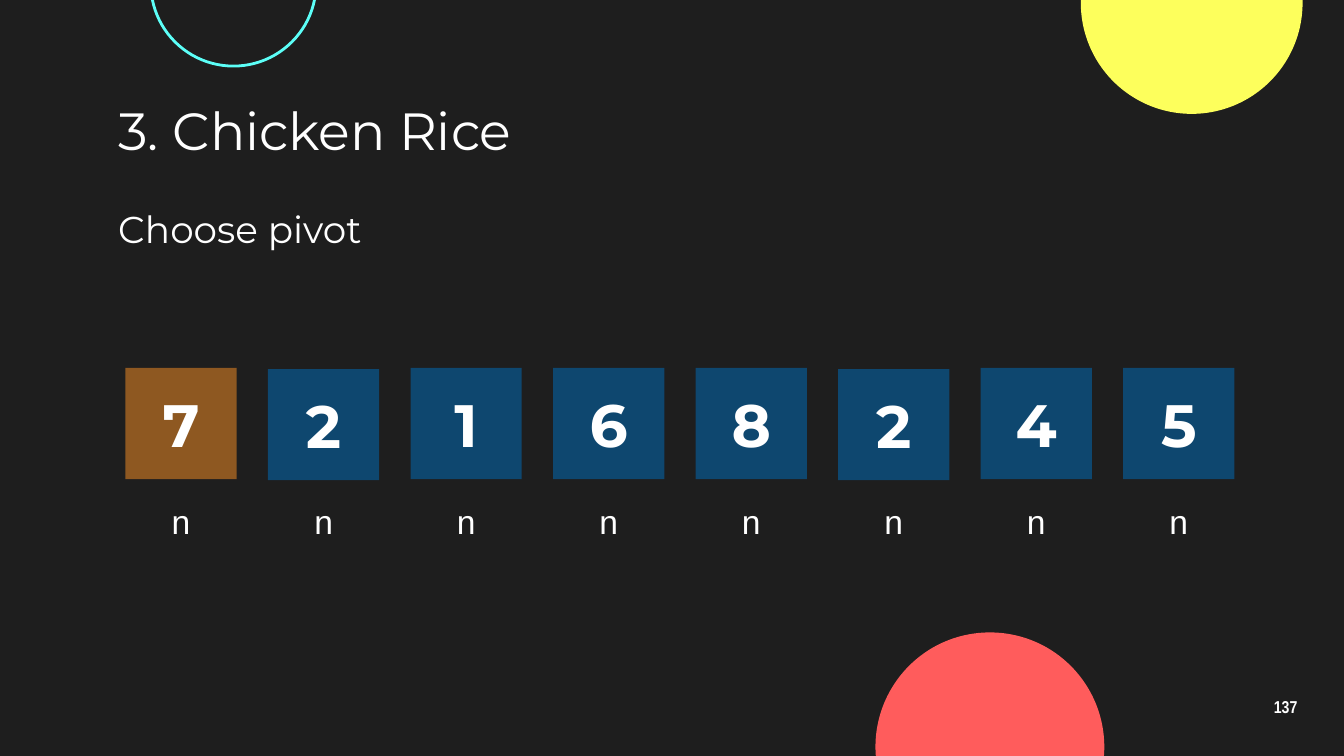
from lxml.etree import SubElement
from pptx import Presentation
from pptx.dml.color import RGBColor
from pptx.enum.shapes import MSO_SHAPE as Shape
from pptx.enum.text import MSO_ANCHOR as Anchor, MSO_AUTO_SIZE as AutoSize, PP_ALIGN as Align
from pptx.oxml.ns import qn
from pptx.util import Pt

BACKGROUND = RGBColor(0x1E, 0x1E, 0x1E)
WHITE = RGBColor(0xFF, 0xFF, 0xFF)
YELLOW = RGBColor(0xFD, 0xFF, 0x5C)
CYAN = RGBColor(0x5C, 0xFF, 0xF8)
RED = RGBColor(0xFF, 0x5C, 0x5C)
ORANGE = RGBColor(0xFF, 0x92, 0x25)
BLUE = RGBColor(0x00, 0x70, 0xC0)


class Deck:
    """Holds the style and the current slide; all lengths are in points."""

    heading_font = "Montserrat"
    label_font = "Arial"
    number_font = "Arial Narrow"

    def __init__(self, width, height):
        self.prs = Presentation()
        self.prs.slide_width, self.prs.slide_height = Pt(width), Pt(height)
        self.slide = None

    def add_slide(self):
        self.slide = self.prs.slides.add_slide(self.prs.slide_layouts[5])
        fill = self.slide.background.fill
        fill.solid()
        fill.fore_color.rgb = BACKGROUND

    def set_text(self, shape, text, size, font, align=Align.LEFT, anchor=Anchor.TOP,
                 bold=False, inset=(7.2, 7.2), spacing=None):
        frame = shape.text_frame
        frame.text = text
        frame.word_wrap = True
        frame.auto_size = AutoSize.NONE
        frame.vertical_anchor = anchor
        frame.margin_left = frame.margin_right = Pt(inset[0])
        frame.margin_top = frame.margin_bottom = Pt(inset[1])
        paragraph = frame.paragraphs[0]
        paragraph.alignment = align
        if spacing:
            paragraph.line_spacing = spacing
        style = paragraph.runs[0].font
        style.name, style.size, style.bold = font, Pt(size), bold
        style.color.rgb = WHITE

    def title(self, text, left, top, width, height):
        title = self.slide.shapes.title
        title.left, title.top = Pt(left), Pt(top)
        title.width, title.height = Pt(width), Pt(height)
        self.set_text(title, text, 28, self.heading_font, anchor=Anchor.MIDDLE)

    def text(self, text, left, top, width, height, size, font, **style):
        box = self.slide.shapes.add_textbox(Pt(left), Pt(top), Pt(width), Pt(height))
        self.set_text(box, text, size, font, **style)
        return box

    def shape(self, kind, left, top, width, height, fill=None, line=None, alpha=None):
        shape = self.slide.shapes.add_shape(kind, Pt(left), Pt(top), Pt(width), Pt(height))
        shape.shadow.inherit = False
        if fill is None:
            shape.fill.background()
        else:
            shape.fill.solid()
            shape.fill.fore_color.rgb = fill
        if alpha is not None:
            color = next(shape.element.spPr.iter(qn("a:srgbClr")))
            SubElement(color, qn("a:alpha")).set("val", str(alpha * 1000))
        if line is None:
            shape.line.fill.background()
        else:
            shape.line.color.rgb = line
            shape.line.width = Pt(1.5)
        return shape

    def circle(self, left, top, diameter, **colors):
        self.shape(Shape.OVAL, left, top, diameter, diameter, **colors)

    def cell(self, value, left, top, side, fill):
        cell = self.shape(Shape.RECTANGLE, left, top, side, side, fill=fill, alpha=50)
        self.set_text(cell, value, 32, self.heading_font, align=Align.CENTER,
                      anchor=Anchor.MIDDLE, bold=True, inset=(7.2, 3.6))

    def label(self, text, center, top):
        width = 49.7
        box = self.text(text, center - width / 2, top, width, 29, 18, self.label_font,
                        align=Align.CENTER, inset=(7.2, 3.6))
        box.text_frame.auto_size = AutoSize.SHAPE_TO_FIT_TEXT


def main():
    deck = Deck(720, 405)
    deck.add_slide()

    # Decorative circles
    deck.circle(579, -57.8, 118.8, fill=YELLOW)
    deck.circle(80.8, -53.2, 88.6, line=CYAN)
    deck.circle(469, 338.8, 122.6, fill=RED)

    # Headings and page number
    deck.text("137", 667.2, 367, 43.2, 24.5, 9.2, deck.number_font, align=Align.CENTER,
              anchor=Anchor.MIDDLE, bold=True, spacing=0.9)
    deck.text("Choose pivot", 56.2, 103, 607.7, 36.7, 20, deck.heading_font)
    deck.title("3. Chicken Rice", 56.2, 51.1, 607.7, 36.7)

    # Array with the pivot first; the 2s sit slightly lower
    side, first_left, pitch = 59.6, 67.2, 76.36
    for index, value in enumerate("72168245"):
        left = first_left + index * pitch
        top = 197.7 if value == "2" else 197.1
        deck.cell(value, left, top, side, ORANGE if index == 0 else BLUE)
        deck.label("n", left + side / 2, 265)

    deck.prs.save("out.pptx")


if __name__ == "__main__":
    main()
